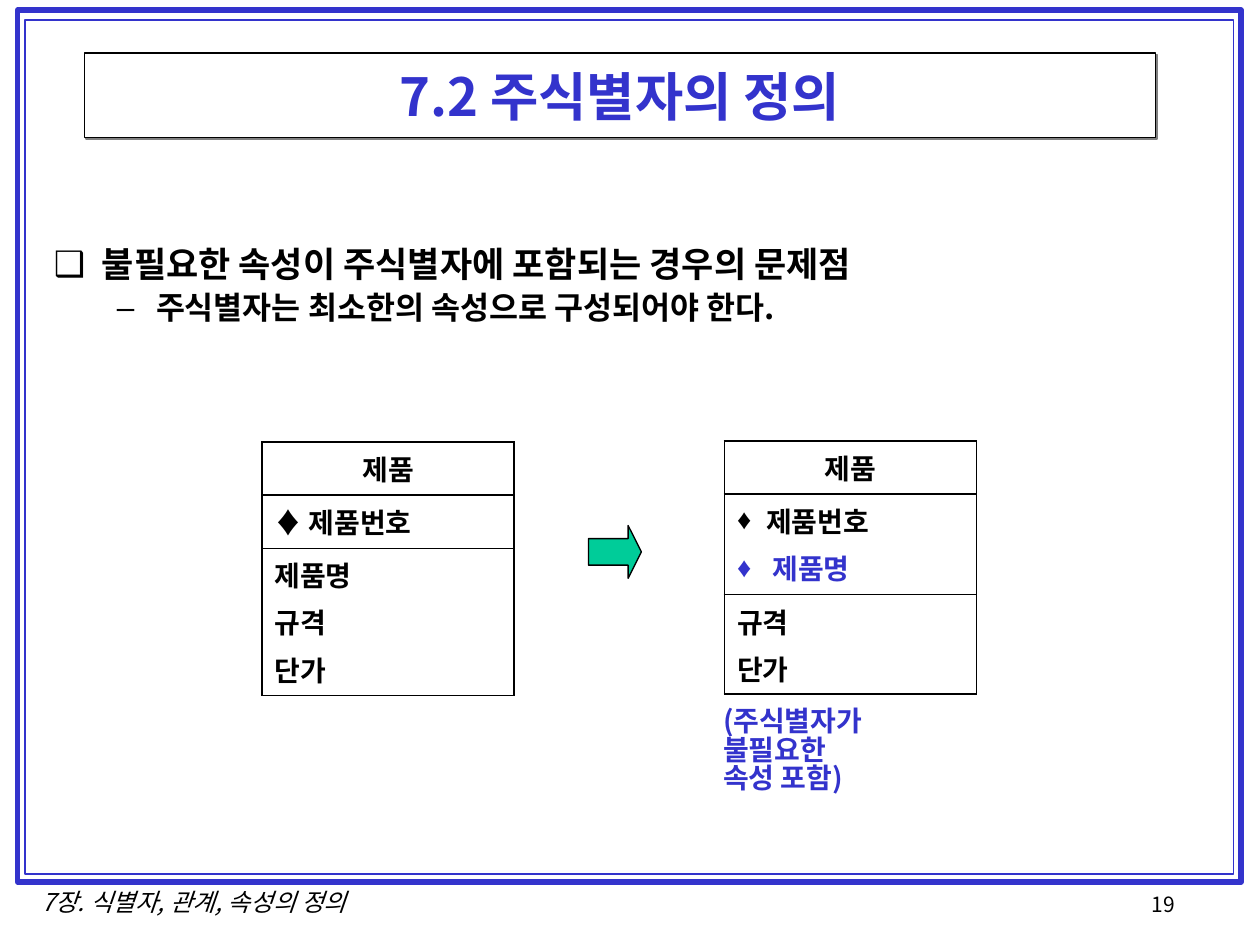
from lxml.etree import SubElement
from pptx import Presentation
from pptx.dml.color import RGBColor
from pptx.enum.shapes import MSO_SHAPE
from pptx.enum.text import MSO_ANCHOR, PP_ALIGN
from pptx.oxml import parse_xml
from pptx.oxml.ns import nsdecls, qn
from pptx.util import Inches, Pt

KOREAN = "Noto Sans CJK KR"
BLUE, BLACK, WHITE, GREEN = "3333CC", "000000", "FFFFFF", "00CC99"
color = RGBColor.from_string


def add_span(para, text, size, ink=BLACK, bold=True, italic=False, face=KOREAN):
    span = para.add_run()
    span.text = text
    font = span.font
    font.size, font.bold, font.italic, font.name = Pt(size), bold, italic, face
    font.color.rgb = color(ink)
    SubElement(span._r.get_or_add_rPr(), qn("a:ea")).set("typeface", KOREAN)


def set_bullet(para, mark, margin, hanging, ink=BLACK):
    props = para._p.get_or_add_pPr()
    props.set("marL", str(Inches(margin)))
    props.set("indent", str(-Inches(hanging)))
    props.append(parse_xml(f'<a:buClr {nsdecls("a")}><a:srgbClr val="{ink}"/></a:buClr>'))
    props.append(parse_xml(f'<a:buFont {nsdecls("a")} typeface="Arial"/>'))
    props.append(parse_xml(f'<a:buChar {nsdecls("a")} char="{mark}"/>'))


deck = Presentation()
deck.slide_width, deck.slide_height = Inches(10), Inches(7.5)
page = deck.slides.add_slide(deck.slide_layouts[5])
title = page.shapes.title

# Double page frame
for left, top, width, height, weight in [(0.14, 0.08, 9.71, 6.92, 3), (0.2, 0.16, 9.59, 6.78, 1)]:
    frame = page.shapes.add_shape(
        MSO_SHAPE.RECTANGLE, Inches(left), Inches(top), Inches(width), Inches(height))
    frame.shadow.inherit = False
    frame.fill.background()
    frame.line.color.rgb = color(BLUE)
    frame.line.width = Pt(weight)

# Title with a small hard shadow
title.left, title.top, title.width, title.height = map(Inches, (0.67, 0.42, 8.5, 0.67))
title.fill.solid()
title.fill.fore_color.rgb = color(WHITE)
title.line.color.rgb = color(BLACK)
title.line.width = Pt(0.75)
title._element.spPr.append(parse_xml(
    f'<a:effectLst {nsdecls("a")}><a:outerShdw dist="{Pt(1.4)}" dir="2700000" algn="ctr">'
    '<a:srgbClr val="808080"/></a:outerShdw></a:effectLst>'))
title.text_frame.vertical_anchor = MSO_ANCHOR.MIDDLE
para = title.text_frame.paragraphs[0]
para.alignment = PP_ALIGN.CENTER
add_span(para, "7.2 주식별자의 정의", 30, BLUE)

# Footer and page number
for place, text, size, italic, align in [
    ((0.06, 6.99, 2.96, 0.34), "7장. 식별자, 관계, 속성의 정의", 14, True, PP_ALIGN.CENTER),
    ((9.04, 7.03, 1.02, 0.33), "19", 12, False, PP_ALIGN.LEFT),
]:
    box = page.shapes.add_textbox(*map(Inches, place))
    box.text_frame.word_wrap = False
    para = box.text_frame.paragraphs[0]
    para.alignment = align
    add_span(para, text, size, bold=False, italic=italic)

# Main point and its detail
body = page.shapes.add_textbox(*map(Inches, (0.33, 1.92, 9.28, 4.87))).text_frame
body.word_wrap = True
for level, (text, size, before, mark, margin, hanging) in enumerate([
    ("불필요한 속성이 주식별자에 포함되는 경우의 문제점", 20, 5, "❑", 0.38, 0.38),
    ("주식별자는 최소한의 속성으로 구성되어야 한다.", 18, 4.5, "–", 0.81, 0.31),
]):
    para = body.add_paragraph() if level else body.paragraphs[0]
    para.level = level
    para.space_before = Pt(before)
    para.line_spacing = 0.88
    set_bullet(para, mark, margin, hanging)
    add_span(para, text, size)

# Entity tables: each row is a height and its lines of (bullet, text, colour)
entities = [
    (2.08, 3.51, [
        (0.42, [("", "제품", BLACK)]),
        (0.42, [("", "♦ 제품번호", BLACK)]),
        (1.17, [("", name, BLACK) for name in ("제품명", "규격", "단가")]),
    ]),
    (5.75, 3.5, [
        (0.42, [("", "제품", BLACK)]),
        (0.8, [("♦", "제품번호", BLACK), ("♦", " 제품명", BLUE)]),
        (0.79, [("", name, BLACK) for name in ("규격", "단가")]),
    ]),
]
for left, top, rows in entities:
    total = sum(height for height, lines in rows)
    holder = page.shapes.add_table(
        len(rows), 1, Inches(left), Inches(top), Inches(2), Inches(total))
    table = holder.table
    table.first_row = table.horz_banding = False
    for number, (height, lines) in enumerate(rows):
        table.rows[number].height = Inches(height)
        cell = table.cell(number, 0)
        for index, (mark, text, ink) in enumerate(lines):
            para = cell.text_frame.add_paragraph() if index else cell.text_frame.paragraphs[0]
            para.alignment = PP_ALIGN.LEFT if number else PP_ALIGN.CENTER
            para.space_before = Pt(4)
            if mark:
                set_bullet(para, mark, 0.23, 0.23, ink)
            add_span(para, text, 16, ink, face="Arial")
        # The rule between key and attributes is thinner
        cell_props = cell._tc.get_or_add_tcPr()
        for side in "LRTB":
            thin = (number, side) in [(1, "B"), (2, "T")]
            cell_props.append(parse_xml(
                f'<a:ln{side} {nsdecls("a")} w="{Pt(0.45 if thin else 1.08)}">'
                f'<a:solidFill><a:srgbClr val="{BLACK}"/></a:solidFill></a:ln{side}>'))
        cell.fill.background()

# Arrow between the entities
arrow = page.shapes.add_shape(
    MSO_SHAPE.RIGHT_ARROW, Inches(4.67), Inches(4.17), Inches(0.42), Inches(0.42))
arrow.adjustments[0], arrow.adjustments[1] = 0.5, 0.25
arrow.shadow.inherit = False
arrow.fill.solid()
arrow.fill.fore_color.rgb = color(GREEN)
arrow.line.color.rgb = color(BLACK)
arrow.line.width = Pt(0.75)

# Remark under the second entity
remark = page.shapes.add_textbox(*map(Inches, (5.64, 5.58, 1.8, 0.9))).text_frame
remark.word_wrap = True
for index, text in enumerate(["(주식별자가 불필요한", "속성 포함)"]):
    para = remark.add_paragraph() if index else remark.paragraphs[0]
    para.line_spacing = 0.84
    add_span(para, text, 16, BLUE)

deck.save("out.pptx")
